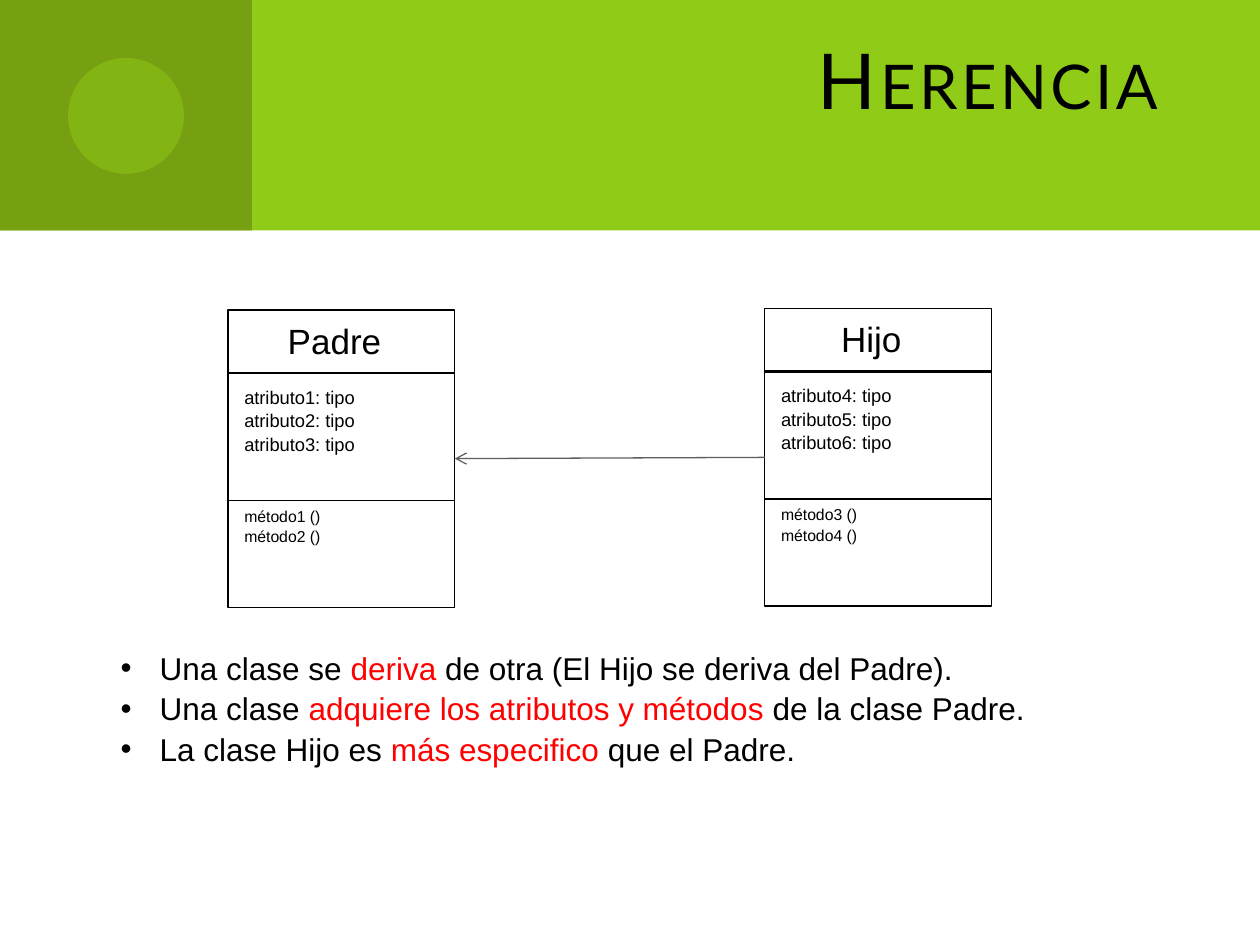
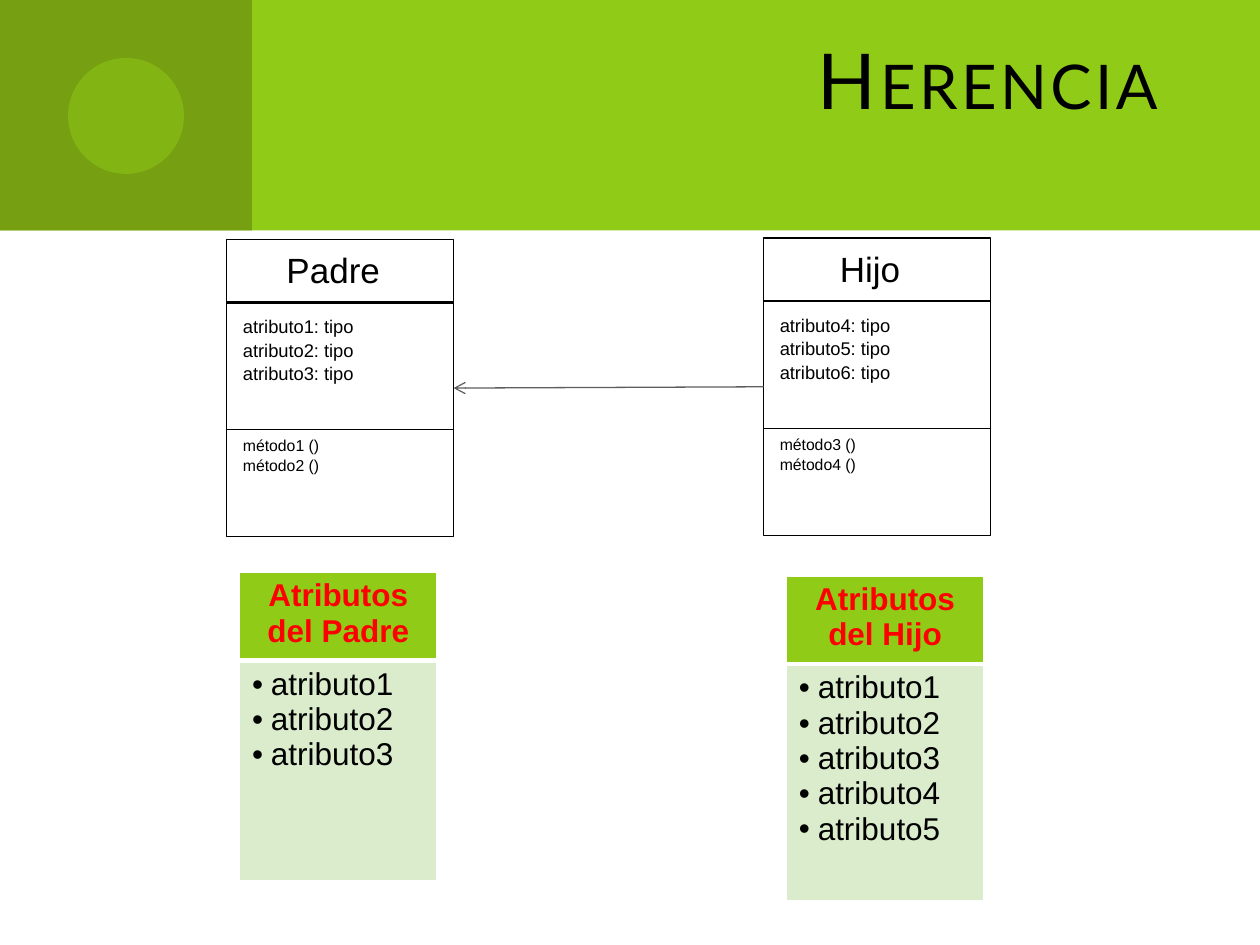
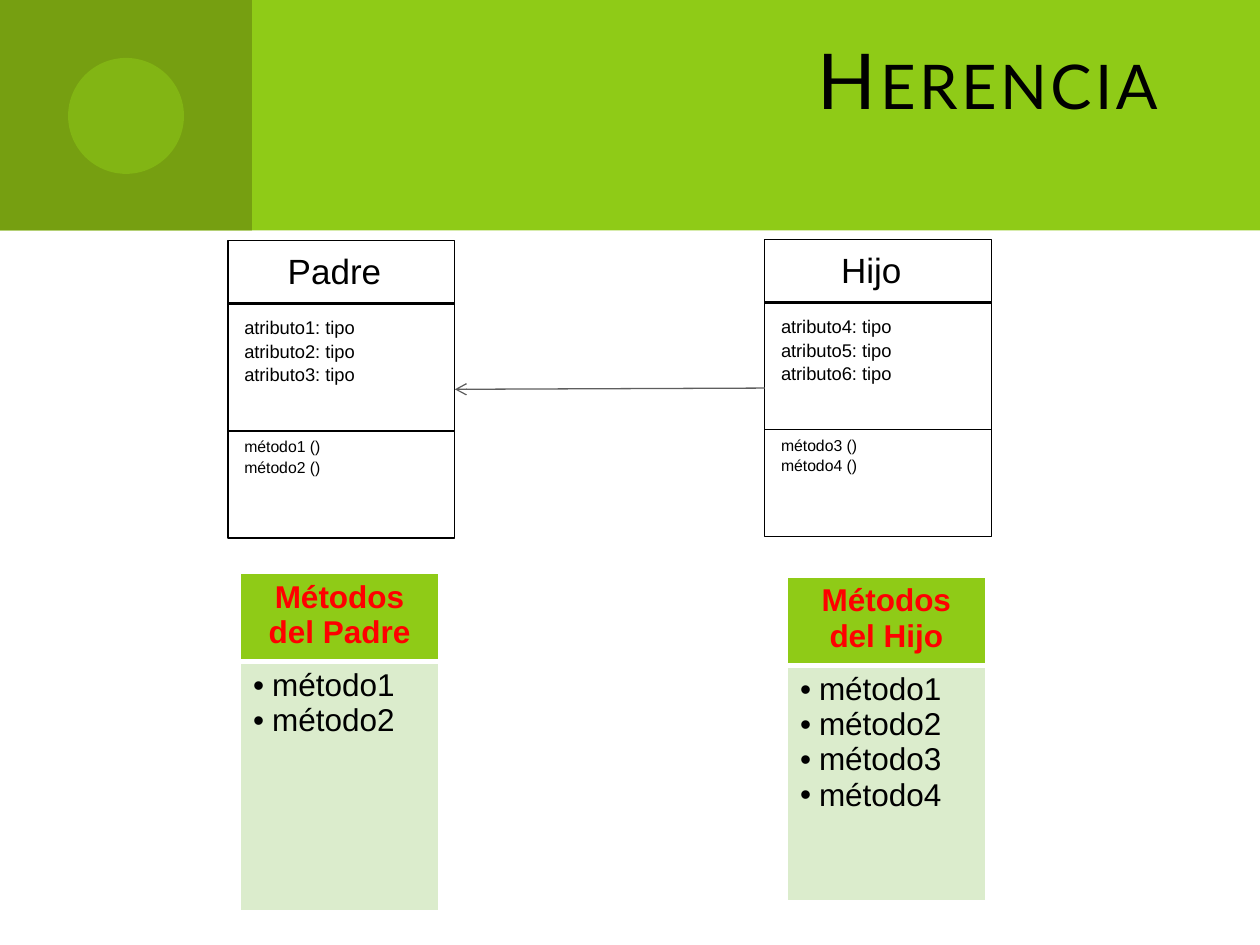
from lxml.etree import SubElement
from pptx import Presentation
from pptx.dml.color import RGBColor
from pptx.enum.shapes import MSO_CONNECTOR as Connector, MSO_SHAPE as Shape
from pptx.enum.text import MSO_ANCHOR as Anchor, MSO_AUTO_SIZE as AutoSize, PP_ALIGN as Align
from pptx.oxml.ns import qn
from pptx.util import Inches, Pt

GREEN = RGBColor(0x8F, 0xCB, 0x17)
DARK_GREEN = RGBColor(0x76, 0x9F, 0x11)
PALE_GREEN = RGBColor(0xDB, 0xEC, 0xCC)
GREY = RGBColor(0x5E, 0x5E, 0x5E)
RED = RGBColor(0xFF, 0x00, 0x00)
BLACK = RGBColor(0x00, 0x00, 0x00)
WHITE = RGBColor(0xFF, 0xFF, 0xFF)

CLASS_WIDTH, CLASS_HEIGHT = 1.8, 2.36
CLASS_GAP = 4.26
TABLE_WIDTH, HEADER_HEIGHT = 1.57, 0.7

BANDS = [
    (Shape.RECTANGLE, 0, 0, 10, 1.83, GREEN),
    (Shape.RECTANGLE, 0, 0, 2, 1.83, DARK_GREEN),
    (Shape.OVAL, 0.54, 0.46, 0.92, 0.92, GREEN),
]

CLASSES = [
    ("Padre", ["atributo1: tipo", "atributo2: tipo", "atributo3: tipo"],
     ["método1 ()", "método2 ()"]),
    ("Hijo", ["atributo4: tipo", "atributo5: tipo", "atributo6: tipo"],
     ["método3 ()", "método4 ()"]),
]

POINTS = [
    ("Una clase se ", "deriva", " de otra (El Hijo se deriva del Padre)."),
    ("Una clase ", "adquiere los atributos y métodos ", "de la clase Padre."),
    ("La clase Hijo es ", "más especifico ", "que el Padre."),
]

PAGES = [
    (1.81, 2.46, []),
    (1.8, 1.9, [
        (0.1, 4.54, 1.75, "Atributos del Padre", "atributo", 3),
        (4.44, 4.57, 1.88, "Atributos del Hijo", "atributo", 5),
    ]),
    (1.81, 1.91, [
        (0.1, 4.55, 1.98, "Métodos del Padre", "método", 2),
        (4.44, 4.58, 1.87, "Métodos del Hijo", "método", 4),
    ]),
]


def write(frame, lines, size, color=BLACK, bold=False, indent=0, spacing=None):
    frame.word_wrap = True
    frame.text = "\n".join("".join(line) for line in lines)
    for para, line in zip(frame.paragraphs, lines):
        para.line_spacing = spacing
        if not isinstance(line, str):
            para.text = ""
            for part in line:
                para.add_run().text = part
        for place, span in enumerate(para.runs):
            span.font.name = "Arial"
            span.font.size = Pt(size)
            span.font.bold = bold
            span.font.color.rgb = RED if place == 1 else color
        if indent:
            props = para._p.get_or_add_pPr()
            props.set("marL", str(Inches(indent)))
            props.set("indent", str(-Inches(indent)))
            SubElement(props, qn("a:buFont"), typeface="Arial")
            SubElement(props, qn("a:buChar"), char="•")


def draw_line(shapes, start, end, color, width):
    line = shapes.add_connector(Connector.STRAIGHT, *map(Inches, start + end))
    line.line.color.rgb = color
    line.line.width = Pt(width)
    SubElement(line._element.spPr, qn("a:effectLst"))
    return line


deck = Presentation()
deck.slide_width, deck.slide_height = Inches(10), Inches(7.5)

for class_left, class_top, tables in PAGES:
    page = deck.slides.add_slide(deck.slide_layouts[6])

    for kind, left, top, width, height, color in BANDS:
        band = page.shapes.add_shape(kind, *map(Inches, (left, top, width, height)))
        band.shadow.inherit = False
        band.fill.solid()
        band.fill.fore_color.rgb = color
        band.line.fill.background()
        if kind == Shape.OVAL:
            tint = band._element.spPr.find(qn("a:solidFill"))[0]
            SubElement(tint, qn("a:alpha"), val="50000")

    title = page.shapes.add_textbox(Inches(1.47), 0, Inches(8.04), Inches(1.25)).text_frame
    title.word_wrap = True
    title.vertical_anchor = Anchor.MIDDLE
    title.text = "Herencia"
    title.paragraphs[0].alignment = Align.RIGHT
    span = title.paragraphs[0].runs[0]
    span.font.name = "Lato"
    span.font.size = Pt(44)
    span.font.color.rgb = BLACK
    span.font._element.set("cap", "small")
    span.font._element.set("spc", "200")

    if not tables:
        box = page.shapes.add_textbox(*map(Inches, (0.86, 5.08, 8.04, 1.01)))
        write(box.text_frame, POINTS, 18, indent=0.31, spacing=1.07)
        box.text_frame.auto_size = AutoSize.SHAPE_TO_FIT_TEXT

    for column, (name, attributes, methods) in enumerate(CLASSES):
        left = class_left + column * CLASS_GAP
        top = class_top - column * 0.01
        right = left + CLASS_WIDTH
        group = page.shapes.add_group_shape().shapes
        frame = group.add_shape(Shape.RECTANGLE, *map(Inches, (left, top, CLASS_WIDTH, CLASS_HEIGHT)))
        frame.shadow.inherit = False
        frame.fill.solid()
        frame.fill.fore_color.rgb = WHITE
        frame.line.color.rgb = BLACK
        frame.line.width = Pt(0.75)
        for offset, weight in ((0.5, 1.5), (1.51, 0.75)):
            draw_line(group, (left, top + offset), (right, top + offset), BLACK, weight)
        heading = group.add_textbox(*map(Inches, (left, top, 1.69, 0.53))).text_frame
        write(heading, [name], 20, spacing=1.07)
        heading.paragraphs[0].alignment = Align.CENTER
        heading.paragraphs[0].space_after = Pt(10)
        for offset, width, height, members, size in (
            (0.54, 1.25, 0.63, attributes, 10.5),
            (1.5, 1.82, 0.4, methods, 9),
        ):
            box = group.add_textbox(*map(Inches, (left + 0.03, top + offset, width, height)))
            write(box.text_frame, members, size, spacing=1.07)
            box.text_frame.auto_size = AutoSize.SHAPE_TO_FIT_TEXT

    arrow = draw_line(
        page.shapes,
        (class_left + CLASS_GAP, class_top + 1.17),
        (class_left + CLASS_WIDTH, class_top + 1.18),
        GREY, 0.75,
    )
    SubElement(arrow.line._get_or_add_ln(), qn("a:tailEnd"), type="arrow")

    for offset, top, body_height, heading, member, count in tables:
        place = (class_left + offset, top, TABLE_WIDTH, HEADER_HEIGHT + body_height)
        table = page.shapes.add_table(2, 1, *map(Inches, place)).table
        table.horz_banding = False
        table.rows[0].height = Inches(HEADER_HEIGHT)
        table.rows[1].height = Inches(body_height)
        header, body = table.cell(0, 0), table.cell(1, 0)
        for cell, color in ((header, GREEN), (body, PALE_GREEN)):
            for side in ("L", "R", "T", "B"):
                thick = (cell is header and side == "B") or (cell is body and side == "T")
                border = SubElement(cell._tc.get_or_add_tcPr(), qn("a:ln" + side),
                                    w=str(Pt(3 if thick else 1)))
                paint = SubElement(border, qn("a:solidFill"))
                SubElement(paint, qn("a:srgbClr"), val=str(WHITE))
            cell.fill.solid()
            cell.fill.fore_color.rgb = color
        write(header.text_frame, [heading], 18, RED, bold=True)
        header.text_frame.paragraphs[0].alignment = Align.CENTER
        write(body.text_frame, [f"{member}{number}" for number in range(1, count + 1)],
              18, indent=0.15)

deck.save("out.pptx")
